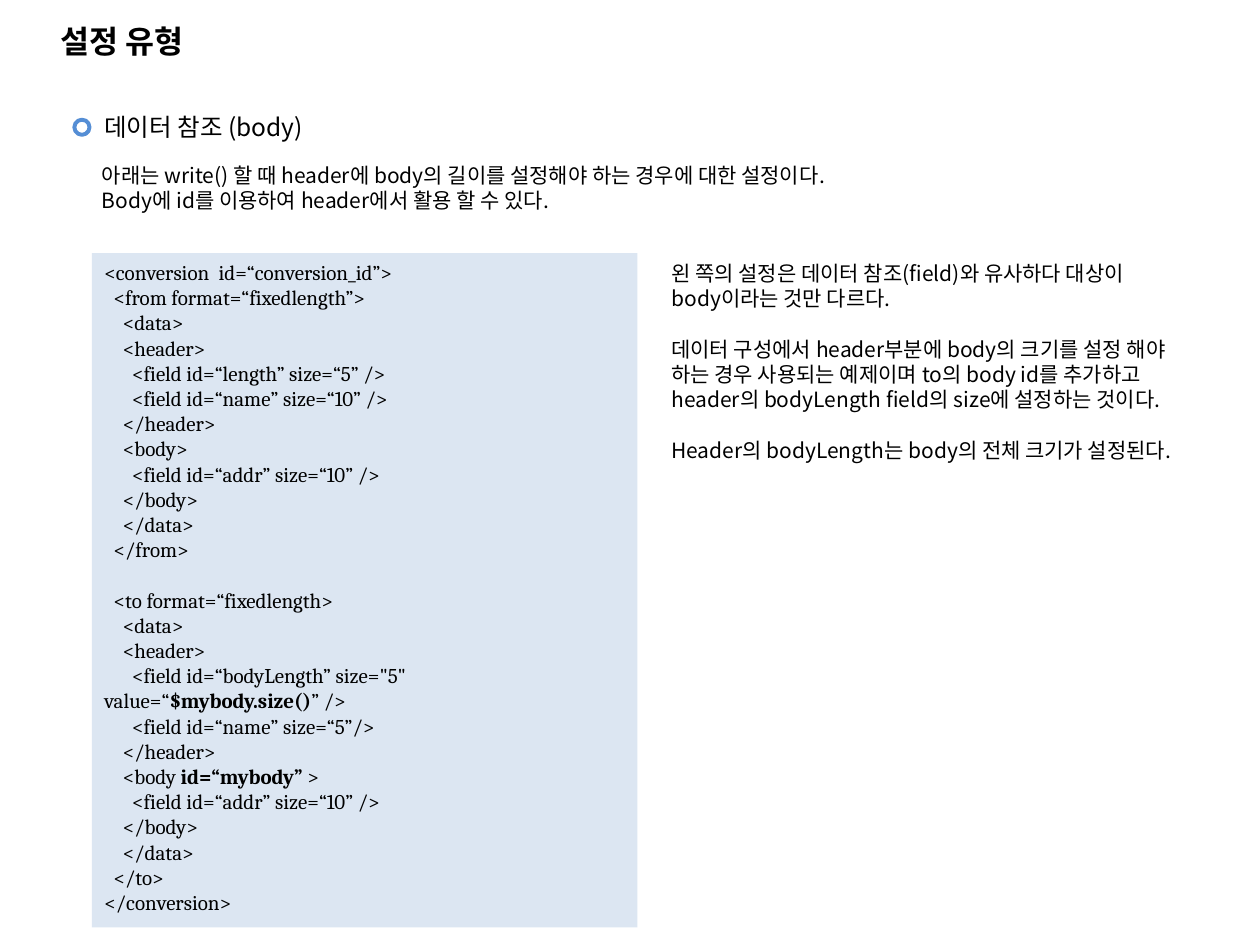
from pptx import Presentation
from pptx.dml.color import RGBColor
from pptx.enum.shapes import MSO_SHAPE
from pptx.enum.text import MSO_ANCHOR, PP_ALIGN
from pptx.oxml.ns import qn
from pptx.util import Inches, Pt

OVAL, RECTANGLE = MSO_SHAPE.OVAL, MSO_SHAPE.RECTANGLE
TOP, BOTTOM = MSO_ANCHOR.TOP, MSO_ANCHOR.BOTTOM
LEFT = PP_ALIGN.LEFT

BLACK = RGBColor(0x00, 0x00, 0x00)
RING_BLUE = RGBColor(0x55, 0x8E, 0xD5)
PALE_BLUE = RGBColor(0xDC, 0xE6, 0xF2)

KOREAN_FONT = "Noto Sans CJK KR"
CODE_FONT = "Cambria"
LINE_HEIGHT = Pt(14.4)
BOLD_MARK = "**"

prs = Presentation()
prs.slide_width, prs.slide_height = Inches(10), Inches(7.5)
slide = prs.slides.add_slide(prs.slide_layouts[6])


def write(box, lines, size=12, font=KOREAN_FONT, anchor=TOP, bold=False, line_height=None):
    """Fill a box with one paragraph per line; marked parts are bold."""
    frame = box.text_frame
    frame.word_wrap = True
    frame.vertical_anchor = anchor
    for number, line in enumerate(lines):
        paragraph = frame.paragraphs[0] if number == 0 else frame.add_paragraph()
        paragraph.alignment = LEFT
        if line_height:
            paragraph.line_spacing = line_height
        for part, words in enumerate(line.split(BOLD_MARK)):
            run = paragraph.add_run()
            run.text = words
            run.font.size = Pt(size)
            run.font.name = font
            run.font.bold = bold or part % 2 == 1
            run.font.color.rgb = BLACK
            east_asian = run.font._element.makeelement(qn("a:ea"), {"typeface": font})
            run.font._element.find(qn("a:latin")).addnext(east_asian)
    return frame


def add_text(left, top, width, height, lines, **style):
    box = slide.shapes.add_textbox(Inches(left), Inches(top), Inches(width), Inches(height))
    return write(box, lines, **style)


# Title
add_text(0.38, 0.13, 9, 0.39, ["설정 유형"], size=18, anchor=BOTTOM, bold=True)

# Heading with ring marker
ring = slide.shapes.add_shape(OVAL, Inches(0.59), Inches(0.95), Inches(0.12), Inches(0.12))
ring.shadow.inherit = False
ring.fill.background()
ring.line.color.rgb = RING_BLUE
ring.line.width = Pt(2.25)
add_text(0.73, 0.84, 9, 0.34, ["데이터 참조 (body)"], size=14)

# Introduction
introduction = [
    "아래는 write() 할 때 header에 body의 길이를 설정해야 하는 경우에 대한 설정이다.",
    "Body에 id를 이용하여 header에서 활용 할 수 있다.",
]
add_text(0.71, 1.24, 8.67, 0.5, introduction, line_height=LINE_HEIGHT)

# Configuration code
from_code = [
    "<conversion  id=“conversion_id”>",
    "  <from format=“fixedlength”>",
    "    <data>",
    "    <header>",
    "      <field id=“length” size=“5” />",
    "      <field id=“name” size=“10” />",
    "    </header>",
    "    <body>",
    "      <field id=“addr” size=“10” />",
    "    </body>",
    "    </data>",
    "  </from>",
]
to_code = [
    "  <to format=“fixedlength>",
    "    <data>",
    "    <header>",
    "      <field id=“bodyLength” size=\"5\" value=“**$mybody.size()**” />",
    "      <field id=“name” size=“5”/>",
    "    </header>",
    "    <body **id=“mybody”** >",
    "      <field id=“addr” size=“10” />",
    "    </body>",
    "    </data>",
    "  </to>",
    "</conversion>",
]
code_panel = slide.shapes.add_shape(
    RECTANGLE, Inches(0.73), Inches(2.01), Inches(4.33), Inches(5.35))
code_panel.shadow.inherit = False
code_panel.fill.solid()
code_panel.fill.fore_color.rgb = PALE_BLUE
code_panel.line.fill.background()
code = write(code_panel, from_code + to_code, font=CODE_FONT, line_height=LINE_HEIGHT)
code.paragraphs[len(from_code)].space_before = LINE_HEIGHT

# Explanation beside the code
explanation = [
    "왼 쪽의 설정은 데이터 참조(field)와 유사하다 대상이 body이라는 것만 다르다.",
    "데이터 구성에서 header부분에 body의 크기를 설정 해야 하는 경우 사용되는 예제이며 "
    "to의 body id를 추가하고 header의 bodyLength field의 size에 설정하는 것이다.",
    "Header의 bodyLength는 body의 전체 크기가 설정된다.",
]
notes = add_text(5.23, 2.02, 4.15, 2.12, explanation, line_height=LINE_HEIGHT)
for paragraph in notes.paragraphs[1:]:
    paragraph.space_before = LINE_HEIGHT

prs.save("out.pptx")
